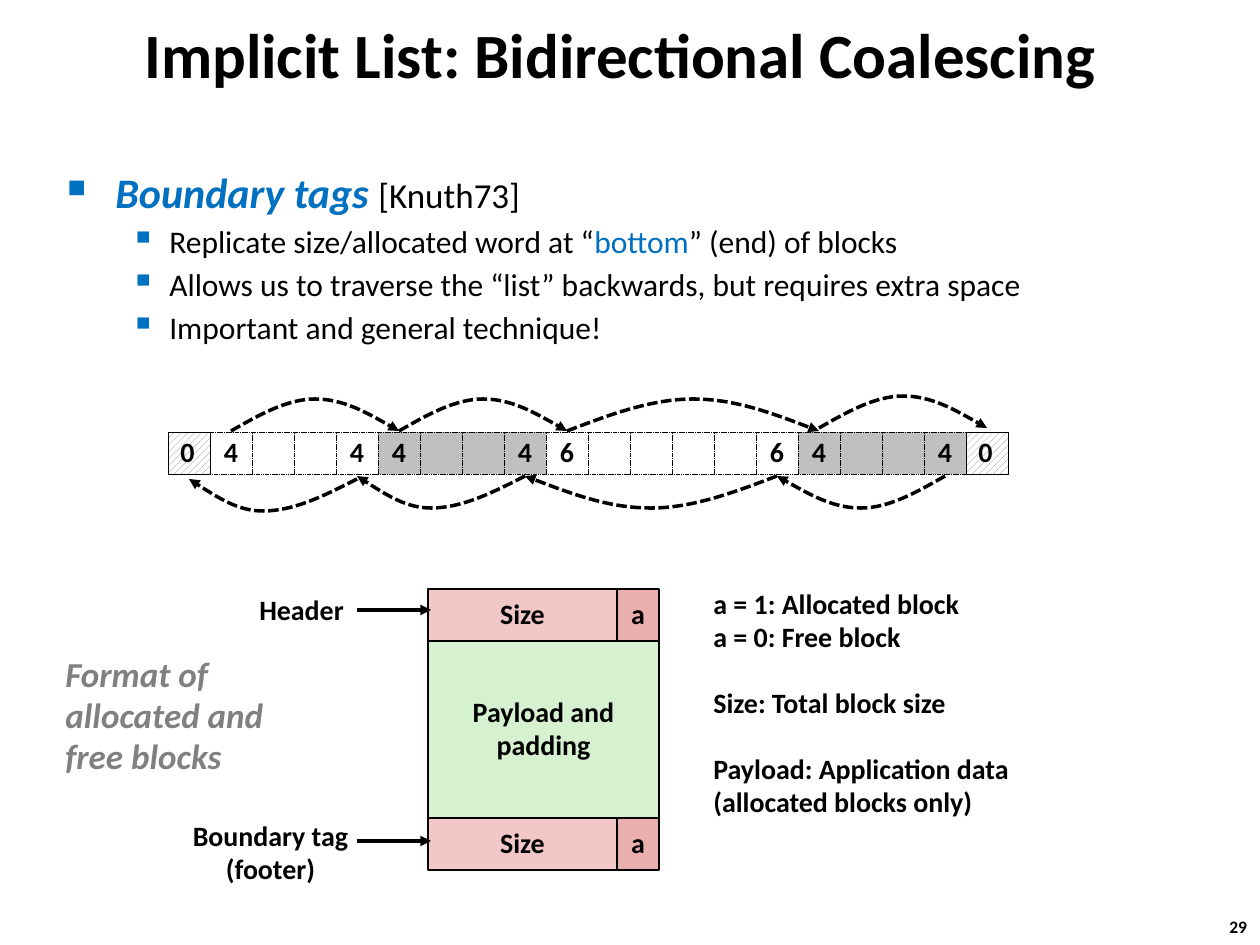
from lxml import etree
from pptx import Presentation
from pptx import util as u
from pptx.dml.color import RGBColor
from pptx.enum import dml, shapes, text
from pptx.oxml.ns import qn

PX = 914400 / 126
FONT = "Calibri"
BLACK, WHITE, GREY, BLUE = "000000", "FFFFFF", "808080", "0070C0"
FREE, ALLOCATED = WHITE, "C0C0C0"
CELL, ROW_LEFT, ROW_TOP = 42, 168, 432
BLOCKS = [(4, FREE), (4, ALLOCATED), (6, FREE), (4, ALLOCATED)]
LEFT, CENTER = text.PP_ALIGN.LEFT, text.PP_ALIGN.CENTER


def px(value):
    """Turn pixels into EMU."""
    return u.Emu(round(value * PX))


def color(value):
    """Turn a hex string into a colour."""
    return RGBColor.from_string(value)


def set_font(font, size, fill=BLACK, bold=True, italic=False):
    """Format the font of a paragraph or run."""
    font.name, font.size = FONT, u.Pt(size)
    font.bold, font.italic = bold, italic
    font.color.rgb = color(fill)


def write(shape, lines, size=16, fill=BLACK, italic=False, align=LEFT, spacing=0.98):
    """Write one paragraph for each line, without wrapping."""
    frame = shape.text_frame
    frame.word_wrap = False
    frame.text = "\n".join(lines)
    for paragraph in frame.paragraphs:
        paragraph.alignment, paragraph.line_spacing = align, spacing
        set_font(paragraph.font, size, fill, italic=italic)


def add_label(slide, box, lines, **style):
    """Add a text box that holds some lines."""
    label = slide.shapes.add_textbox(*map(px, box))
    write(label, lines, **style)
    return label


def add_box(slide, box, fill, lines=(), width=1.0, dash=None, align=CENTER):
    """Add an outlined rectangle, hatched where it has no fill colour."""
    shape = slide.shapes.add_shape(shapes.MSO_SHAPE.RECTANGLE, *map(px, box))
    shape.shadow.inherit = False
    if fill:
        shape.fill.solid()
        shape.fill.fore_color.rgb = color(fill)
    else:
        shape.fill.patterned()
        shape.fill.pattern = dml.MSO_PATTERN.WIDE_UPWARD_DIAGONAL
        shape.fill.fore_color.rgb = color(GREY)
        shape.fill.back_color.rgb = color(WHITE)
    shape.line.color.rgb = color(BLACK)
    shape.line.width = u.Pt(width)
    shape.line.dash_style = dash
    shape.text_frame.vertical_anchor = text.MSO_ANCHOR.MIDDLE
    if lines:
        write(shape, lines, align=align)


def style_arrow(line, dash=None):
    """Make a line black and end it with an arrowhead."""
    line.color.rgb = color(BLACK)
    line.width = u.Pt(2)
    line.dash_style = dash
    etree.SubElement(line._get_or_add_ln(), qn("a:tailEnd"), type="triangle")


def add_arrow(slide, start, end):
    """Add a straight arrow."""
    arrow = slide.shapes.add_connector(shapes.MSO_CONNECTOR.STRAIGHT, *map(px, start + end))
    style_arrow(arrow.line)
    etree.SubElement(arrow._element.spPr, qn("a:effectLst"))


def add_arc(slide, start, end, base, peak, middle=None):
    """Add a dashed curved arrow made of two Bezier halves."""
    middle = middle or (start + end) / 2
    half = (base + peak) / 2
    points = [
        (start + (middle - start) / 3, half),
        (start + (middle - start) * 2 / 3, peak),
        (middle, peak),
        (middle + (end - middle) / 3, peak),
        (middle + (end - middle) * 2 / 3, half),
        (end, base),
    ]
    builder = slide.shapes.build_freeform(px(start), px(base))
    builder.add_line_segments([(px(x), px(y)) for x, y in points], close=False)
    arc = builder.convert_to_shape()
    arc.shadow.inherit = False
    arc.fill.background()
    style_arrow(arc.line, dml.MSO_LINE.SQUARE_DOT)
    segments = list(arc._element.iter(qn("a:lnTo")))
    for first in range(0, len(segments), 3):
        curve = etree.Element(qn("a:cubicBezTo"))
        segments[first].addprevious(curve)
        for segment in segments[first:first + 3]:
            curve.append(segment[0])
            segment.getparent().remove(segment)


def set_bullet(paragraph, symbol, percent, margin, indent):
    """Give a paragraph a blue bullet and a hanging indent."""
    properties = paragraph._p.get_or_add_pPr()
    properties.set("marL", str(px(margin)))
    properties.set("indent", str(-px(indent)))
    tint = etree.SubElement(properties, qn("a:buClr"))
    etree.SubElement(tint, qn("a:srgbClr"), val=BLUE)
    etree.SubElement(properties, qn("a:buSzPct"), val=str(percent * 1000))
    etree.SubElement(properties, qn("a:buChar"), char=symbol)


def add_title(slide):
    """Place and format the title."""
    title = slide.shapes.title
    title.left, title.top, title.width, title.height = map(px, (24, 14, 1207, 79))
    write(title, ["Implicit List: Bidirectional Coalescing "], size=36, align=CENTER, spacing=1.0)
    title.text_frame.word_wrap = True
    title.text_frame.vertical_anchor = text.MSO_ANCHOR.MIDDLE


def add_bullets(slide):
    """Add the heading bullet and its three points."""
    frame = slide.shapes.add_textbox(*map(px, (55, 169, 1145, 183))).text_frame
    frame.word_wrap = True
    heading = frame.paragraphs[0]
    heading.line_spacing = 0.83
    set_bullet(heading, "■", 60, 48, 48)
    for words, size, fill, strong in [("Boundary tags ", 24, BLUE, True), ("[Knuth73]", 20, BLACK, False)]:
        run = heading.add_run()
        run.text = words
        set_font(run.font, size, fill, strong, strong)
    points = [
        [("Replicate size/allocated word at “", BLACK), ("bottom", BLUE), ("” (end) of blocks", BLACK)],
        [("Allows us to traverse the “list” backwards, but requires extra space", BLACK)],
        [("Important and general technique!", BLACK)],
    ]
    for point in points:
        paragraph = frame.add_paragraph()
        paragraph.level = 1
        paragraph.line_spacing, paragraph.space_before = 0.88, u.Pt(5.6)
        set_bullet(paragraph, "▪", 110, 102, 39)
        for words, fill in point:
            run = paragraph.add_run()
            run.text = words
            set_font(run.font, 18, fill, bold=False)


def add_heap(slide):
    """Add the row of words with its forward and backward links."""
    left = ROW_LEFT + CELL
    for size, fill in BLOCKS:
        for word in range(size):
            lines = [str(size)] if word in (0, size - 1) else []
            add_box(slide, (left, ROW_TOP, CELL, CELL), fill, lines, 0.25, dml.MSO_LINE.SQUARE_DOT)
            left += CELL
    for edge in (ROW_LEFT, left):
        add_box(slide, (edge, ROW_TOP, CELL, CELL), None, ["0"], 0.25, align=LEFT)
    header = ROW_LEFT + CELL * 3 // 2
    for index, (size, fill) in enumerate(BLOCKS):
        following, footer = header + size * CELL, header + (size - 1) * CELL
        lift = 3 if index == len(BLOCKS) - 1 else 0
        add_arc(slide, header, following, 431 - lift, 399 - lift)
        drop = 3 if index == 0 else 0
        middle = footer - 94 if index < 2 else None
        add_arc(slide, footer, header - CELL, 476 + drop, 508 + drop, middle)
        header = following


def add_block_format(slide):
    """Add the block layout with its labels and legend."""
    add_box(slide, (428, 641, 231, 177), "D5F1CF", ["Payload and", "padding"])
    for top in (589, 818):
        add_box(slide, (428, top, 189, 52), "F1C7C7", ["Size"])
        add_box(slide, (617, top, 42, 52), "EBAFAF", ["a"])
    for y in (610, 841):
        add_arrow(slide, (357, y), (431, y))
    add_label(slide, (247, 588, 111, 47), ["Header"])
    add_label(slide, (179, 814, 183, 79), ["Boundary tag", "(footer)"], align=CENTER)
    add_label(slide, (53, 648, 224, 137), ["Format of", "allocated and", "free blocks"],
              size=20, fill=GREY, italic=True)
    legend = add_label(slide, (701, 582, 324, 280), [
        "a = 1: Allocated block", "a = 0: Free block", "Size: Total block size",
        "Payload: Application data", "(allocated blocks only)"])
    for paragraph in legend.text_frame.paragraphs[2:4]:
        paragraph.space_before = u.Pt(19)


def main():
    """Build the slide and save it."""
    presentation = Presentation()
    presentation.slide_width, presentation.slide_height = px(1260), px(945)
    slide = presentation.slides.add_slide(presentation.slide_layouts[5])
    add_title(slide)
    add_bullets(slide)
    add_heap(slide)
    add_block_format(slide)
    add_label(slide, (1217, 911, 47, 34), ["29"], size=10)
    presentation.save("out.pptx")


if __name__ == "__main__":
    main()
